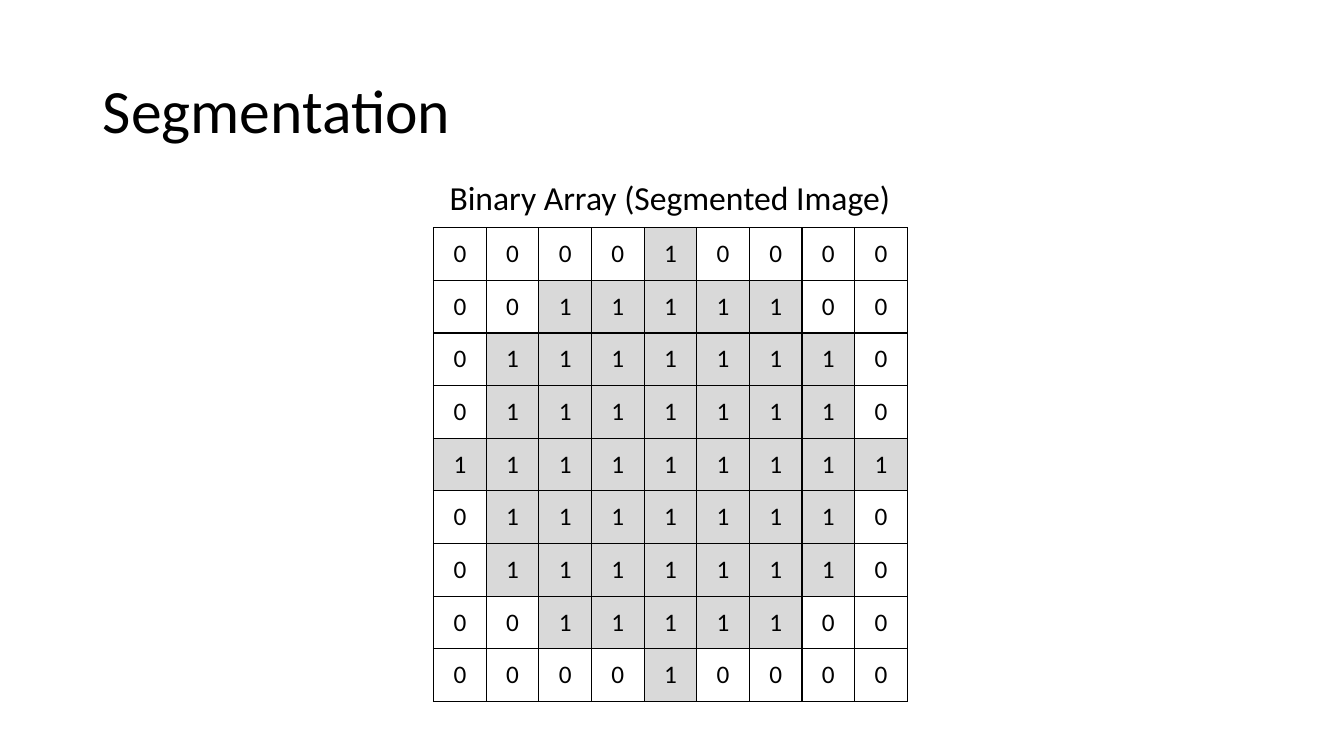
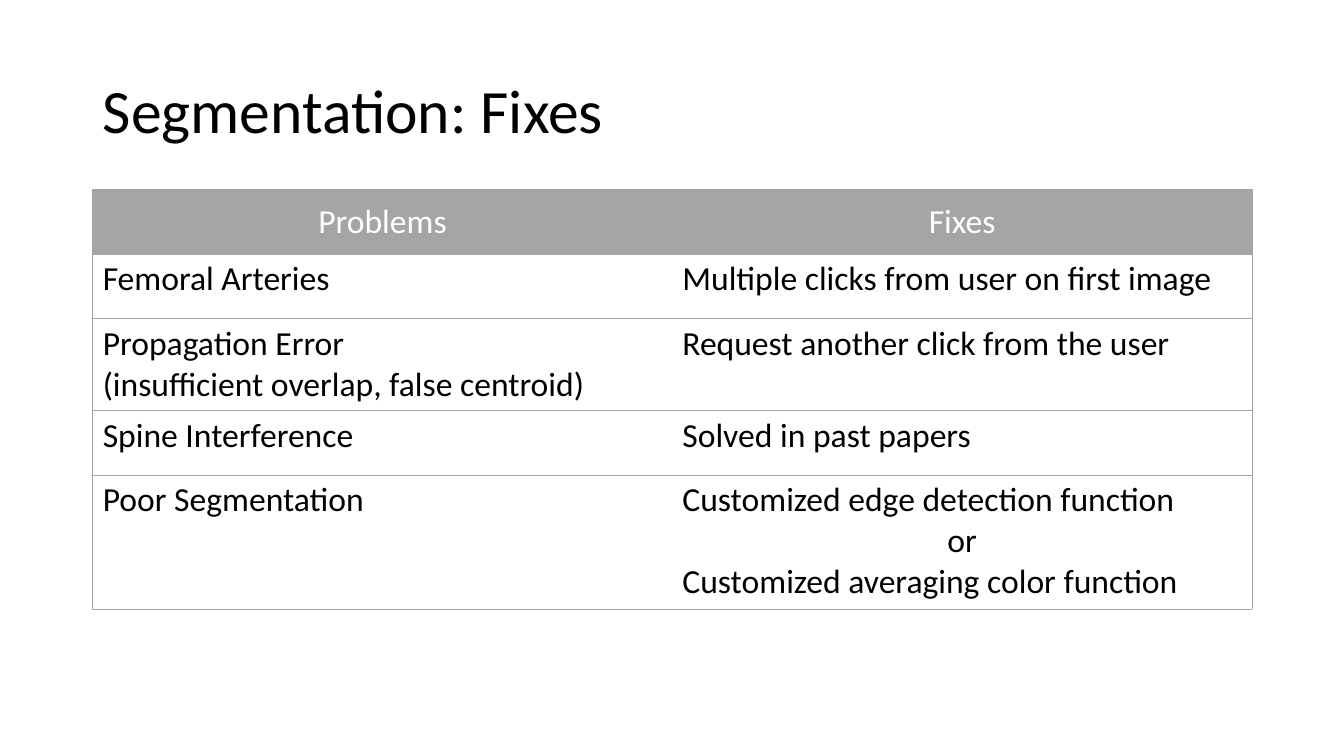
import dataclasses

import lxml.etree
import pptx
import pptx.dml.color
import pptx.enum.text
import pptx.oxml.ns
import pptx.util

ALIGN = pptx.enum.text.PP_ALIGN
ANCHOR = pptx.enum.text.MSO_ANCHOR
TITLE_ONLY = 5


@dataclasses.dataclass(frozen=True)
class Theme:
    font: str = "Calibri"
    text: str = "000000"
    header_text: str = "FFFFFF"
    header: str = "A5A5A5"
    segment: str = "D9D9D9"
    title_size: int = 44
    body_size: int = 24
    digit_size: int = 18
    grid_line: float = 1
    thin_line: float = 0.5
    slide_width: float = 13.33
    slide_height: float = 7.5
    margin: float = 6.9
    content_width: float = 86.25


THEME = Theme()


def across(percent):
    return pptx.util.Inches(THEME.slide_width * percent / 100)


def down(percent):
    return pptx.util.Inches(THEME.slide_height * percent / 100)


def write(paragraph, text, size, color=THEME.text, align=ALIGN.LEFT):
    paragraph.alignment = align
    for index, line in enumerate(text.split("\n")):
        if index:
            paragraph.add_line_break()
        run = paragraph.add_run()
        run.text = line
        run.font.name = THEME.font
        run.font.size = pptx.util.Pt(size)
        run.font.color.rgb = pptx.dml.color.RGBColor.from_string(color)


def add_titled_slide(deck, text):
    slide = deck.slides.add_slide(deck.slide_layouts[TITLE_ONLY])
    title = slide.shapes.title
    title.left, title.top = across(THEME.margin), down(5.33)
    title.width, title.height = across(THEME.content_width), down(19.33)
    frame = title.text_frame
    frame.auto_size = pptx.enum.text.MSO_AUTO_SIZE.NONE
    frame.vertical_anchor = ANCHOR.MIDDLE
    frame.paragraphs[0].line_spacing = 0.9
    write(frame.paragraphs[0], text, THEME.title_size)
    return slide


def add_caption(slide, text, left, top, width, height):
    caption = slide.shapes.add_textbox(across(left), down(top), across(width), down(height))
    caption.text_frame.word_wrap = True
    write(caption.text_frame.paragraphs[0], text, THEME.body_size, align=ALIGN.CENTER)


def add_plain_table(slide, left, top, widths, heights):
    table = slide.shapes.add_table(
        len(heights), len(widths), left, top, sum(widths), sum(heights)
    ).table
    table.first_row = table.horz_banding = False
    for column, width in zip(table.columns, widths):
        column.width = width
    for row, height in zip(table.rows, heights):
        row.height = height
    return table


def style_cell(cell, fill, sides, line_color, line_width):
    qn = pptx.oxml.ns.qn
    properties = cell._tc.get_or_add_tcPr()
    for side in "LRTB":
        border = lxml.etree.SubElement(properties, qn(f"a:ln{side}"))
        if side in sides:
            border.set("w", str(pptx.util.Pt(line_width)))
            paint = lxml.etree.SubElement(border, qn("a:solidFill"))
            lxml.etree.SubElement(paint, qn("a:srgbClr")).set("val", line_color)
        else:
            lxml.etree.SubElement(border, qn("a:noFill"))
    if fill:
        cell.fill.solid()
        cell.fill.fore_color.rgb = pptx.dml.color.RGBColor.from_string(fill)
    else:
        cell.fill.background()


def add_binary_array(slide, segment_widths, left, top, width):
    count = len(segment_widths)
    pitch = across(width / count)
    array = add_plain_table(slide, across(left), down(top), [pitch] * count, [pitch] * count)
    for row, segment_width in enumerate(segment_widths):
        for column, digit in enumerate(("1" * segment_width).center(count, "0")):
            cell = array.cell(row, column)
            fill = THEME.segment if digit == "1" else None
            style_cell(cell, fill, "LRTB", THEME.text, THEME.grid_line)
            cell.vertical_anchor = ANCHOR.MIDDLE
            write(cell.text_frame.paragraphs[0], digit, THEME.digit_size, align=ALIGN.CENTER)


def add_fixes_table(slide, entries, top, heights):
    widths = [across(THEME.content_width / 2)] * 2
    fixes = add_plain_table(
        slide, across(THEME.margin), down(top), widths, [down(height) for height in heights]
    )
    for row, entry in enumerate(entries):
        heading = row == 0
        fill = THEME.header if heading else None
        color = THEME.header_text if heading else THEME.text
        for column, lines in enumerate(entry):
            cell = fixes.cell(row, column)
            style_cell(cell, fill, "TB" + "LR"[column], THEME.header, THEME.thin_line)
            cell.vertical_anchor = ANCHOR.MIDDLE if heading else ANCHOR.TOP
            frame = cell.text_frame
            for index, line in enumerate(lines):
                paragraph = frame.add_paragraph() if index else frame.paragraphs[0]
                align = ALIGN.CENTER if heading or line == "or" else ALIGN.LEFT
                write(paragraph, line, THEME.body_size, color, align)


def main():
    deck = pptx.Presentation()
    deck.slide_width, deck.slide_height = across(100), down(100)

    segmentation = add_titled_slide(deck, "Segmentation")
    add_binary_array(segmentation, [1, 5, 7, 7, 9, 7, 7, 5, 1], left=32.26, top=30.13, width=35.26)
    add_caption(segmentation, "Binary Array (Segmented Image)", 31.58, 22.8, 36.53, 6.67)

    solutions = add_titled_slide(deck, "Segmentation: Fixes")
    entries = [
        (["Problems"], ["Fixes"]),
        (["Femoral Arteries"], ["Multiple clicks from user on first image"]),
        (
            ["Propagation Error\n(insufficient overlap, false centroid)"],
            ["Request another click from the user"],
        ),
        (["Spine Interference"], ["Solved in past papers"]),
        (
            ["Poor Segmentation"],
            ["Customized edge detection function", "or", "Customized averaging color function"],
        ),
    ]
    add_fixes_table(solutions, entries, top=25.07, heights=[8.53, 8.53, 12.13, 8.53, 17.73])

    deck.save("out.pptx")


if __name__ == "__main__":
    main()
